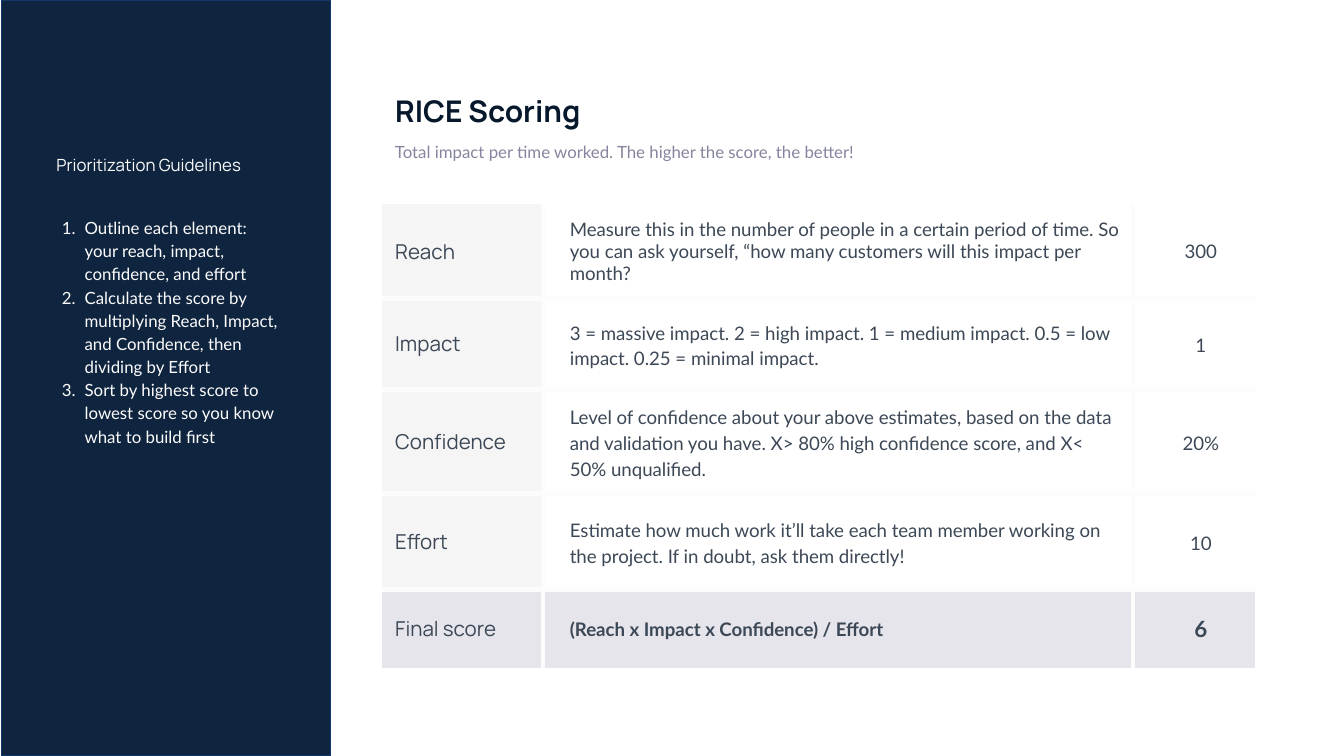
from lxml import etree
from pptx import Presentation
from pptx.dml.color import RGBColor
from pptx.enum.shapes import MSO_SHAPE
from pptx.enum.text import MSO_ANCHOR, PP_ALIGN
from pptx.oxml.ns import qn
from pptx.util import Emu, Inches, Pt

RECT = MSO_SHAPE.RECTANGLE
TOP, MIDDLE = MSO_ANCHOR.TOP, MSO_ANCHOR.MIDDLE
LEFT, CENTER = PP_ALIGN.LEFT, PP_ALIGN.CENTER
NO_STYLE = "{2D5ABB26-0587-4C30-8999-92F81FD0307C}"
HEAD, BODY = "Manrope", "Lato"
COLORS = {
    "navy": "0F243E", "edge": "103869", "title": "07182C", "subtitle": "85859F",
    "text": "3C4856", "light": "FCFCFC", "label": "F5F5F5", "total": "E5E5EB",
}

TITLE = "RICE Scoring"
SUBTITLE = "Total impact per time worked. The higher the score, the better!"
GUIDE_TITLE = "Prioritization Guidelines"
GUIDELINES = [
    "Outline each element: your reach, impact, confidence, and effort",
    "Calculate the score by multiplying Reach, Impact, and Confidence, then dividing by Effort",
    "Sort by highest score to lowest score so you know what to build first",
]
SCORES = [
    ("Reach", "Measure this in the number of people in a certain period of time. "
     "So you can ask yourself, “how many customers will this impact per month?", "300"),
    ("Impact", "3 = massive impact. 2 = high impact. 1 = medium impact. "
     "0.5 = low impact. 0.25 = minimal impact.", "1"),
    ("Confidence", "Level of confidence about your above estimates, based on the data "
     "and validation you have. X> 80% high confidence score, and X< 50% unqualified.", "20%"),
    ("Effort", "Estimate how much work it’ll take each team member working on the project. "
     "If in doubt, ask them directly!", "10"),
    ("Final score", "(Reach x Impact x Confidence) / Effort", "6"),
]
GUIDE_COLS, GUIDE_ROWS = [0.62, 0.64, 0.81], [0.54, 0.54, 0.56, 0.56, 0.13]
SCORE_COLS, SCORE_ROWS = [1.2, 4.39, 0.91], [0.67, 0.68, 0.73, 0.71, 0.59]
CONTENT_X = 2.84


def color(name):
    return RGBColor.from_string(COLORS[name])


def write(p, text, font, size, tint, bold=False, align=LEFT, spacing=1.0):
    p.alignment, p.line_spacing = align, spacing
    r = p.add_run()
    r.text = text
    r.font.name, r.font.size, r.font.bold = font, Pt(size), bold
    r.font.color.rgb = color(tint)


def set_frame(tf):
    tf.word_wrap = True
    tf.margin_left = tf.margin_right = tf.margin_top = tf.margin_bottom = Inches(0.1)


def number(p, tint):
    pPr = p._p.get_or_add_pPr()
    pPr.set("marL", str(Inches(0.21)))
    pPr.set("indent", str(Inches(-0.17)))
    clr = etree.SubElement(pPr, qn("a:buClr"))
    etree.SubElement(clr, qn("a:srgbClr"), val=COLORS[tint])
    etree.SubElement(pPr, qn("a:buAutoNum"), type="arabicPeriod")


def add_grid(slide, x, y, cols, rows):
    frame = slide.shapes.add_table(len(rows), len(cols), Inches(x), Inches(y),
                                   Inches(sum(cols)), Inches(sum(rows)))
    table = frame.table
    table.first_row = table.horz_banding = False
    table._tbl.tblPr.find(qn("a:tableStyleId")).text = NO_STYLE
    for column, width in zip(table.columns, cols):
        column.width = Inches(width)
    for row, height in zip(table.rows, rows):
        row.height = Inches(height)
    return table


def set_cell(cell, fill=None, left=0.1, right=0.1, anchor=MIDDLE):
    if fill:
        cell.fill.solid()
        cell.fill.fore_color.rgb = color(fill)
    else:
        cell.fill.background()
    cell.margin_left, cell.margin_right = Inches(left), Inches(right)
    cell.margin_top = cell.margin_bottom = Inches(0.1)
    cell.vertical_anchor = anchor


def set_borders(cell, sides):
    tcPr = cell._tc.get_or_add_tcPr()
    for i, side in enumerate(sides):
        ln = etree.Element(qn("a:ln" + side), w=str(Pt(3)))
        fill = etree.SubElement(ln, qn("a:solidFill"))
        etree.SubElement(fill, qn("a:srgbClr"), val=COLORS["light"])
        tcPr.insert(i, ln)


def add_guidelines(slide):
    table = add_grid(slide, 0.22, 0.42, GUIDE_COLS, GUIDE_ROWS)
    for first, last in ((0, 0), (1, 1), (2, 4)):
        table.cell(first, 0).merge(table.cell(last, 2))
    for r in range(len(GUIDE_ROWS)):
        for c in range(len(GUIDE_COLS)):
            set_cell(table.cell(r, c), "navy", 0.2, 0.2, TOP if r == 2 else MIDDLE)
    write(table.cell(1, 0).text_frame.paragraphs[0], GUIDE_TITLE, HEAD, 9, "light")
    tf = table.cell(2, 0).text_frame
    for i, text in enumerate(GUIDELINES):
        p = tf.add_paragraph() if i else tf.paragraphs[0]
        number(p, "light")
        write(p, text, BODY, 9, "light", spacing=1.15)


def add_scores(slide):
    table = add_grid(slide, CONTENT_X, 1.52, SCORE_COLS, SCORE_ROWS)
    last_row, last_col = len(SCORE_ROWS) - 1, len(SCORE_COLS) - 1
    for r, values in enumerate(SCORES):
        total = r == last_row
        spacing = 1.0 if r in (0, last_row) else 1.15
        for c, text in enumerate(values):
            cell = table.cell(r, c)
            p = cell.text_frame.paragraphs[0]
            if c == 0:
                set_cell(cell, "total" if total else "label")
                write(p, text, HEAD, 11, "text")
            else:
                set_cell(cell, "total" if total else None, left=0.2)
                size = 12 if total and c == last_col else 10
                write(p, text, BODY, size, "text", total,
                      CENTER if c == last_col else LEFT, spacing)
            inner = {"L": c > 0, "R": c < last_col, "T": r > 0, "B": r < last_row}
            set_borders(cell, [side for side, shown in inner.items() if shown])


def main():
    prs = Presentation()
    prs.slide_width, prs.slide_height = Inches(10), Emu(5143500)
    slide = prs.slides.add_slide(prs.slide_layouts[5])

    panel = slide.shapes.add_shape(RECT, Inches(0.01), 0, Inches(2.45), prs.slide_height)
    panel.shadow.inherit = False
    panel.fill.solid()
    panel.fill.fore_color.rgb = color("navy")
    panel.line.color.rgb = color("edge")
    panel.line.width = Pt(0.75)

    title = slide.shapes.title
    title.left, title.top = Inches(CONTENT_X), Inches(0.59)
    title.width, title.height = Inches(6.36), Inches(0.47)
    set_frame(title.text_frame)
    title.text_frame.vertical_anchor = MIDDLE
    write(title.text_frame.paragraphs[0], TITLE, HEAD, 16, "title", bold=True)

    add_guidelines(slide)
    add_scores(slide)

    subtitle = slide.shapes.add_textbox(Inches(CONTENT_X), Inches(0.98), Inches(4.91), Inches(0.35))
    set_frame(subtitle.text_frame)
    write(subtitle.text_frame.paragraphs[0], SUBTITLE, BODY, 9, "subtitle")

    prs.save("out.pptx")


if __name__ == "__main__":
    main()
